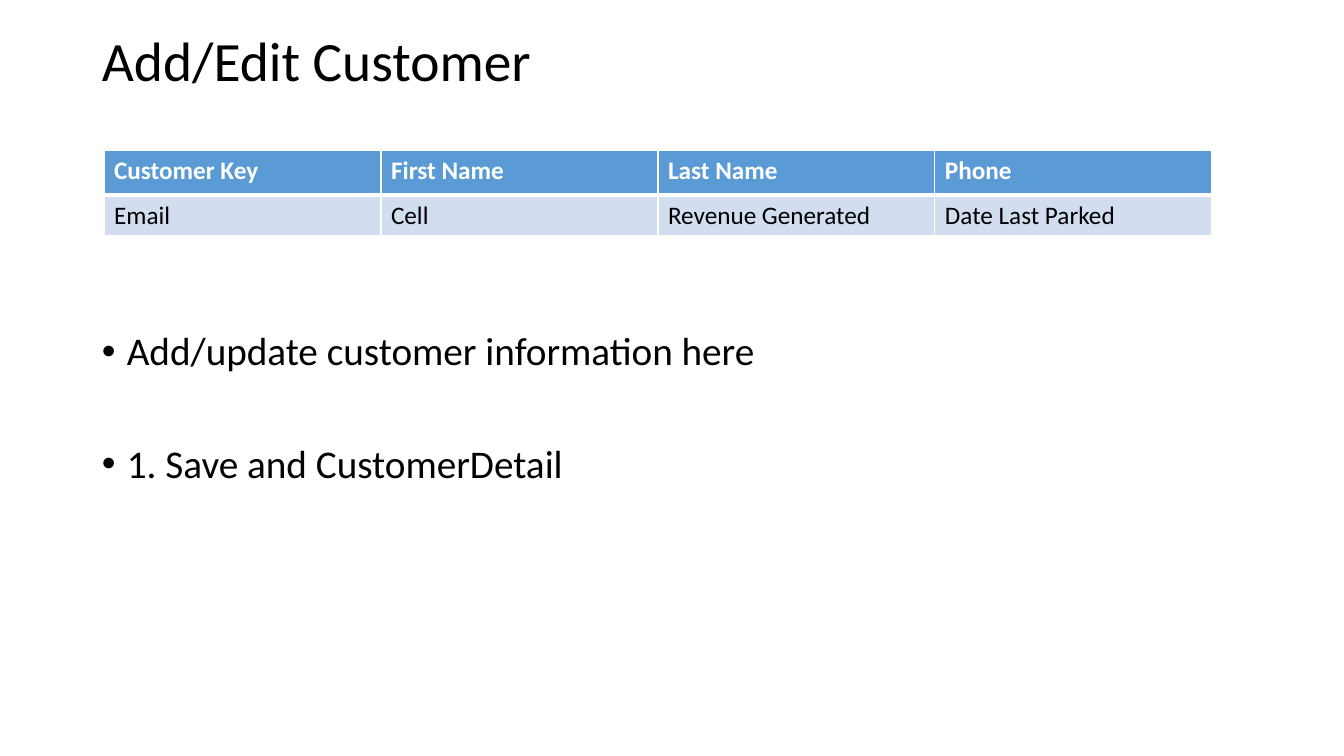
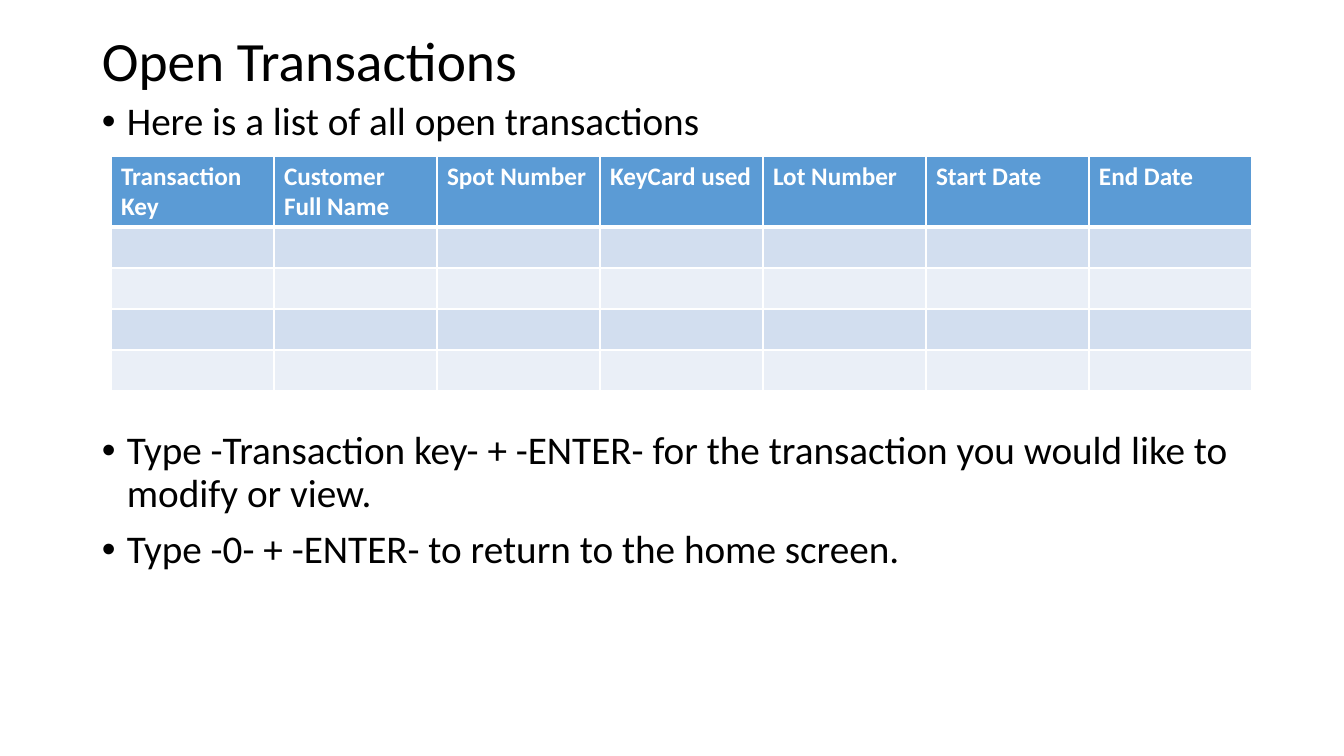
from dataclasses import dataclass

from lxml.etree import SubElement
from pptx import Presentation
from pptx.dml.color import RGBColor as Rgb
from pptx.enum.text import MSO_ANCHOR as Anchor
from pptx.oxml.ns import qn
from pptx.util import Emu, Pt

EMU_PER_PX = 914400 / 100.8


def px(pixels: float) -> Emu:
    return Emu(round(pixels * EMU_PER_PX))


# Shared look
@dataclass(frozen=True)
class Theme:
    font: str = "Calibri"
    ink: str = "000000"
    paper: str = "FFFFFF"
    header: str = "5B9BD5"
    bands: tuple[str, str] = ("D2DEEF", "EAEFF7")
    title_pt: float = 39.6
    body_pt: float = 28
    table_pt: float = 18
    line_spacing: float = 0.9
    rule_pt: float = 1
    header_rule_pt: float = 3
    bullet_indent: int = 25


@dataclass(frozen=True)
class Box:
    left: int
    top: int
    width: int
    height: int


@dataclass(frozen=True)
class Bullets:
    top: int
    height: int
    lines: tuple[str, ...]
    gap_pt: float = 10


@dataclass(frozen=True)
class Grid:
    left: int
    top: int
    column_width: int
    row_heights: tuple[int, ...]
    rows: tuple[tuple[str, ...], ...]


@dataclass(frozen=True)
class Page:
    title: str
    grid: Grid
    bullets: tuple[Bullets, ...]


THEME = Theme()
SLIDE_SIZE = (1344, 756)
TITLE_BOX = Box(92, 40, 1160, 47)

# Content
PAGES = (
    Page(
        "Add/Edit Customer",
        Grid(104, 150, 277, (45, 41), (
            ("Customer Key", "First Name", "Last Name", "Phone"),
            ("Email", "Cell", "Revenue Generated", "Date Last Parked"),
        )),
        (Bullets(327, 400, ("Add/update customer information here",
                            "1. Save and CustomerDetail"), gap_pt=50),),
    ),
    Page(
        "Open Transactions",
        Grid(111, 156, 163, (71,) + (41,) * 4, (
            ("Transaction Key", "Customer Full Name", "Spot Number", "KeyCard used",
             "Lot Number", "Start Date", "End Date"),
        ) + (("",) * 7,) * 4),
        (
            Bullets(97, 55, ("Here is a list of all open transactions",)),
            Bullets(426, 301, (
                "Type -Transaction key- + -ENTER- for the transaction you would like to "
                "modify or view.",
                "Type -0- + -ENTER- to return to the home screen.")),
        ),
    ),
)


# Text
def style_runs(paragraph, size: float, color: str, bold: bool = False) -> None:
    for run in paragraph.runs:
        run.font.name = THEME.font
        run.font.size = Pt(size)
        run.font.bold = bold
        run.font.color.rgb = Rgb.from_string(color)


def add_text(slide, box: Box, lines: tuple[str, ...], size: float):
    frame = slide.shapes.add_textbox(
        px(box.left), px(box.top), px(box.width), px(box.height)).text_frame
    frame.word_wrap = True
    frame.text = "\n".join(lines)
    for paragraph in frame.paragraphs:
        paragraph.line_spacing = THEME.line_spacing
        style_runs(paragraph, size, THEME.ink)
    return frame


def add_title(slide, title: str) -> None:
    frame = add_text(slide, TITLE_BOX, (title,), THEME.title_pt)
    frame.vertical_anchor = Anchor.MIDDLE


def add_bullets(slide, bullets: Bullets) -> None:
    box = Box(TITLE_BOX.left, bullets.top, TITLE_BOX.width, bullets.height)
    frame = add_text(slide, box, bullets.lines, THEME.body_pt)
    for index, paragraph in enumerate(frame.paragraphs):
        paragraph.space_before = Pt(bullets.gap_pt if index else 0)
        properties = paragraph._p.get_or_add_pPr()
        properties.set("marL", str(px(THEME.bullet_indent)))
        properties.set("indent", str(-px(THEME.bullet_indent)))
        SubElement(properties, qn("a:buFont"), typeface="Arial")
        SubElement(properties, qn("a:buChar"), char="•")


# Tables
def add_borders(cell, top_pt: float, bottom_pt: float) -> None:
    properties = cell._tc.get_or_add_tcPr()
    widths = {"L": THEME.rule_pt, "R": THEME.rule_pt, "T": top_pt, "B": bottom_pt}
    for side, width in widths.items():
        line = SubElement(properties, qn(f"a:ln{side}"), w=str(Pt(width)))
        SubElement(SubElement(line, qn("a:solidFill")), qn("a:srgbClr"), val=THEME.paper)


def style_cell(cell, row: int) -> None:
    is_header = row == 0
    add_borders(cell,
                THEME.header_rule_pt if row == 1 else THEME.rule_pt,
                THEME.header_rule_pt if is_header else THEME.rule_pt)
    cell.fill.solid()
    cell.fill.fore_color.rgb = Rgb.from_string(
        THEME.header if is_header else THEME.bands[(row - 1) % 2])
    style_runs(cell.text_frame.paragraphs[0], THEME.table_pt,
               THEME.paper if is_header else THEME.ink, is_header)


def add_grid(slide, grid: Grid) -> None:
    column_count = len(grid.rows[0])
    table = slide.shapes.add_table(
        len(grid.rows), column_count, px(grid.left), px(grid.top),
        px(grid.column_width * column_count), px(sum(grid.row_heights))).table
    table.horz_banding = False
    for column in table.columns:
        column.width = px(grid.column_width)
    for row, (height, labels) in enumerate(zip(grid.row_heights, grid.rows)):
        table.rows[row].height = px(height)
        for column, label in enumerate(labels):
            cell = table.cell(row, column)
            cell.text_frame.text = label
            style_cell(cell, row)


# Slides
def build() -> None:
    deck = Presentation()
    deck.slide_width, deck.slide_height = map(px, SLIDE_SIZE)
    blank = deck.slide_layouts[6]
    for page in PAGES:
        slide = deck.slides.add_slide(blank)
        add_title(slide, page.title)
        for bullets in page.bullets:
            add_bullets(slide, bullets)
        add_grid(slide, page.grid)
    deck.save("out.pptx")


build()
